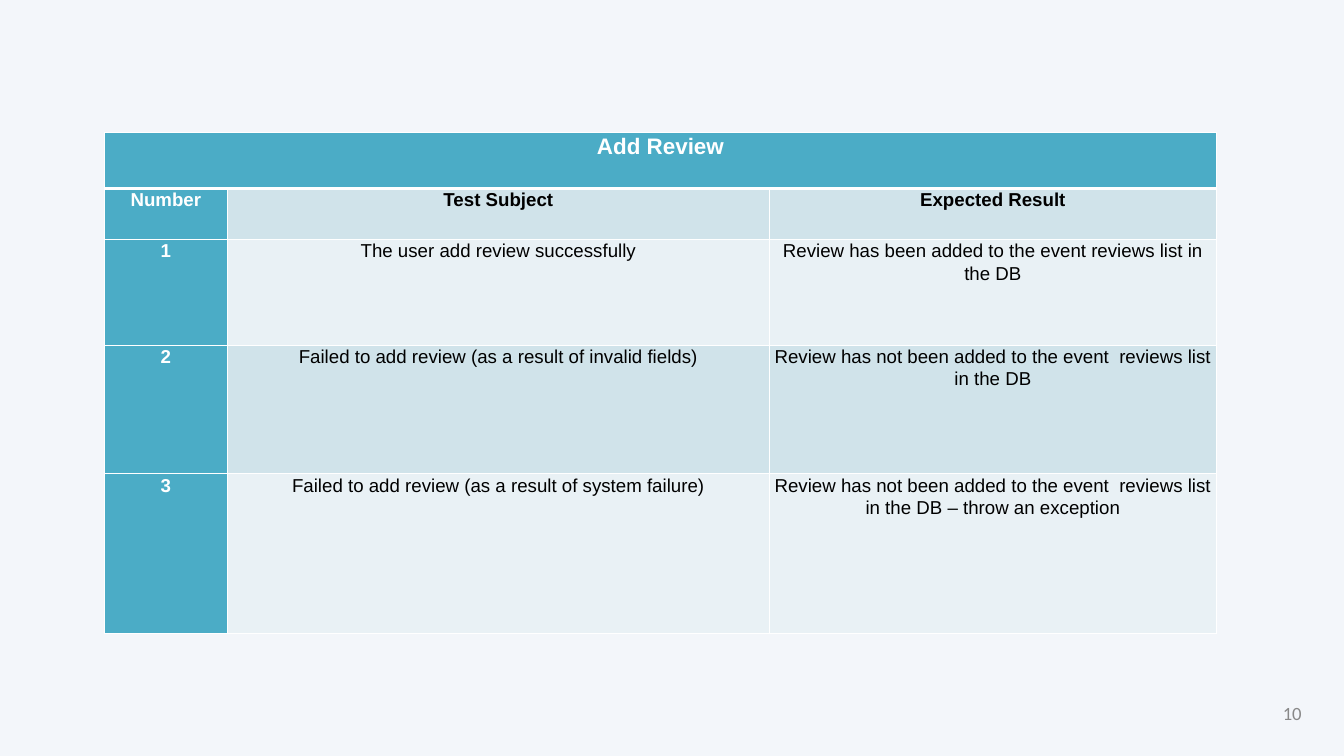
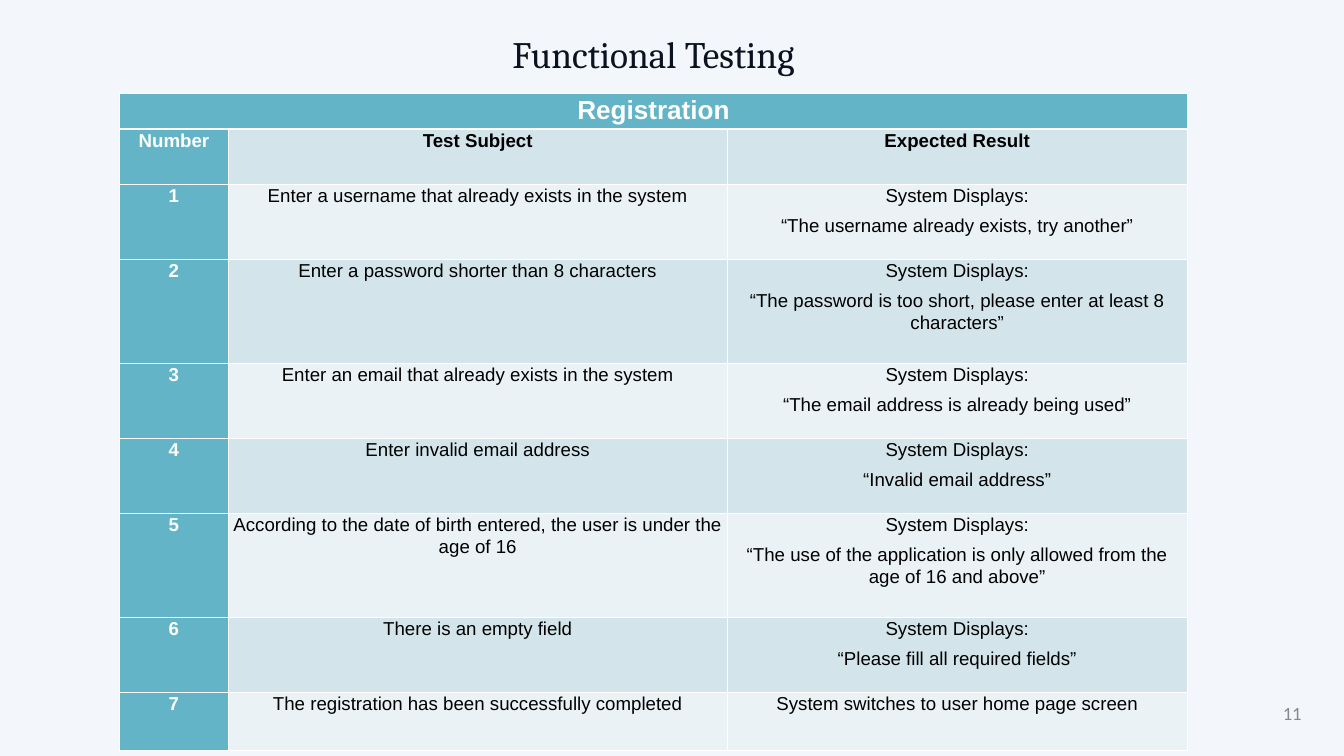
from dataclasses import dataclass

from lxml import etree
from pptx import Presentation, slide as sld, table as tbl, util as u
from pptx.dml import color
from pptx.enum import text
from pptx.oxml import ns
from pptx.text import text as txt

# Shared look
EMU_PER_PX = 9525
SLIDE_SIZE = (1920, 1080)
BACKGROUND, WHITE, BLACK = "F3F6FA", "FFFFFF", "000000"
TITLE_COLOR, PAGE_COLOR = "0B1320", "888888"
TITLE_BOX = (294, 32, 1279, 78)
PAGE_BOX = (1645, 1000, 224, 38)
CELL_INSET = 7
HEADINGS = ("Number", "Test Subject", "Expected Result")
DISPLAYS = "System Displays:"
ALIGN = text.PP_ALIGN


@dataclass(frozen=True)
class Style:
    size: int
    hue: str
    font: str = "Arial"
    bold: bool = False
    align: ALIGN = ALIGN.CENTER
    spacing: float = 1.0
    after: int = 0


@dataclass(frozen=True)
class Palette:
    accent: str
    dark_band: str
    light_band: str


@dataclass(frozen=True)
class TestCase:
    subject: str
    expected: tuple[str, ...]
    height: int


@dataclass(frozen=True)
class TestPlan:
    page: int
    title: str
    feature: str
    feature_size: int
    palette: Palette
    left: int
    top: int
    widths: tuple[int, ...]
    head_heights: tuple[int, int]
    cases: tuple[TestCase, ...]


TITLE_STYLE = Style(40, TITLE_COLOR, "Cambria", spacing=1.2)
PAGE_STYLE = Style(20, PAGE_COLOR, "Calibri", align=ALIGN.RIGHT)


# Content
ADD_REVIEW = TestPlan(
    10, "", "Add Review", 24, Palette("4BACC6", "D0E3EA", "E9F1F5"),
    149, 189, (176, 774, 639), (80, 73),
    (
        TestCase("The user add review successfully",
                 ("Review has been added to the event reviews list in the DB",), 151),
        TestCase("Failed to add review (as a result of invalid fields)",
                 ("Review has not been added to the event  reviews list in the DB",), 184),
        TestCase("Failed to add review (as a result of system failure)",
                 ("Review has not been added to the event  reviews list in the DB"
                  " – throw an exception",), 228),
    ),
)
REGISTRATION = TestPlan(
    11, "Functional Testing", "Registration", 28, Palette("62B4C6", "D3E5EA", "EAF2F5"),
    171, 134, (155, 713, 657), (50, 79),
    (
        TestCase("Enter a username that already exists in the system",
                 (DISPLAYS, "“The username already exists, try another”"), 107),
        TestCase("Enter a password shorter than 8 characters",
                 (DISPLAYS, "“The password is too short, please enter at least 8 characters”"),
                 149),
        TestCase("Enter an email that already exists in the system",
                 (DISPLAYS, "“The email address is already being used”"), 107),
        TestCase("Enter invalid email address",
                 (DISPLAYS, "“Invalid email address”"), 107),
        TestCase("According to the date of birth entered, the user is under the age of 16",
                 (DISPLAYS, "“The use of the application is only allowed from the age of 16"
                            " and above”"), 149),
        TestCase("There is an empty field",
                 (DISPLAYS, "“Please fill all required fields”"), 107),
        TestCase("The registration has been successfully completed",
                 ("System switches to user home page screen",), 83),
    ),
)


# Helpers
def px(length: int) -> u.Emu:
    return u.Emu(length * EMU_PER_PX)


def rgb(value: str) -> color.RGBColor:
    return color.RGBColor.from_string(value)


def write(frame: txt.TextFrame, lines: tuple[str, ...], style: Style) -> None:
    for index, line in enumerate(lines):
        paragraph = frame.add_paragraph() if index else frame.paragraphs[0]
        paragraph.alignment = style.align
        paragraph.line_spacing = style.spacing
        paragraph.space_after = u.Pt(style.after)
        run = paragraph.add_run()
        run.text = line
        run.font.name, run.font.size = style.font, u.Pt(style.size)
        run.font.bold = style.bold
        run.font.color.rgb = rgb(style.hue)


def add_label(slide: sld.Slide, box: tuple[int, ...], line: str, style: Style) -> txt.TextFrame:
    frame = slide.shapes.add_textbox(*map(px, box)).text_frame
    frame.word_wrap = True
    write(frame, (line,), style)
    return frame


def add_borders(cell: tbl._Cell, top: int = 1, bottom: int = 1) -> None:
    properties = cell._tc.get_or_add_tcPr()
    for side, points in (("L", 1), ("R", 1), ("T", top), ("B", bottom)):
        line = etree.SubElement(properties, ns.qn(f"a:ln{side}"), w=str(int(u.Pt(points))))
        fill = etree.SubElement(line, ns.qn("a:solidFill"))
        etree.SubElement(fill, ns.qn("a:srgbClr"), val=WHITE)


def fill_cell(cell: tbl._Cell, fill: str, top: int = 1, bottom: int = 1) -> None:
    add_borders(cell, top, bottom)
    cell.fill.solid()
    cell.fill.fore_color.rgb = rgb(fill)
    cell.margin_left = cell.margin_right = px(CELL_INSET)
    cell.margin_top = cell.margin_bottom = 0


def cell_style(hue: str, bold: bool, size: int = 20) -> Style:
    return Style(size, hue, bold=bold, spacing=1.07, after=8)


# Parts of a slide
def add_test_table(slide: sld.Slide, plan: TestPlan) -> None:
    heights = plan.head_heights + tuple(case.height for case in plan.cases)
    box = (plan.left, plan.top, sum(plan.widths), sum(heights))
    table = slide.shapes.add_table(len(heights), len(plan.widths), *map(px, box)).table
    table.first_row = table.horz_banding = False
    for column, width in zip(table.columns, plan.widths):
        column.width = px(width)
    for row, height in zip(table.rows, heights):
        row.height = px(height)

    # Feature name across the whole width
    colors = plan.palette
    for cell in table.rows[0].cells:
        fill_cell(cell, colors.accent, bottom=3)
    feature = table.cell(0, 0)
    feature.merge(table.cell(0, len(plan.widths) - 1))
    write(feature.text_frame, (plan.feature,), cell_style(WHITE, True, plan.feature_size))

    # Headings, then the numbered cases in alternating bands
    entries = [tuple((heading,) for heading in HEADINGS)]
    entries += [((str(number),), (case.subject,), case.expected)
                for number, case in enumerate(plan.cases, 1)]
    for row, entry in enumerate(entries, 1):
        is_heading = row == 1
        band = colors.dark_band if row % 2 else colors.light_band
        for column, lines in enumerate(entry):
            is_number = column == 0
            cell = table.cell(row, column)
            fill_cell(cell, colors.accent if is_number else band, top=3 if is_heading else 1)
            write(cell.text_frame, lines,
                  cell_style(WHITE if is_number else BLACK, is_number or is_heading))


def add_title(slide: sld.Slide, title: str) -> None:
    frame = add_label(slide, TITLE_BOX, title, TITLE_STYLE)
    frame.margin_left = frame.margin_right = frame.margin_top = frame.margin_bottom = 0
    frame.auto_size = text.MSO_AUTO_SIZE.SHAPE_TO_FIT_TEXT


def add_page_number(slide: sld.Slide, page: int) -> None:
    frame = add_label(slide, PAGE_BOX, str(page), PAGE_STYLE)
    frame.vertical_anchor = text.MSO_ANCHOR.MIDDLE


def main() -> None:
    deck = Presentation()
    deck.slide_width, deck.slide_height = map(px, SLIDE_SIZE)
    for plan in (ADD_REVIEW, REGISTRATION):
        slide = deck.slides.add_slide(deck.slide_layouts[6])
        slide.background.fill.solid()
        slide.background.fill.fore_color.rgb = rgb(BACKGROUND)
        if plan.title:
            add_title(slide, plan.title)
        add_test_table(slide, plan)
        add_page_number(slide, plan.page)
    deck.save("out.pptx")


if __name__ == "__main__":
    main()
